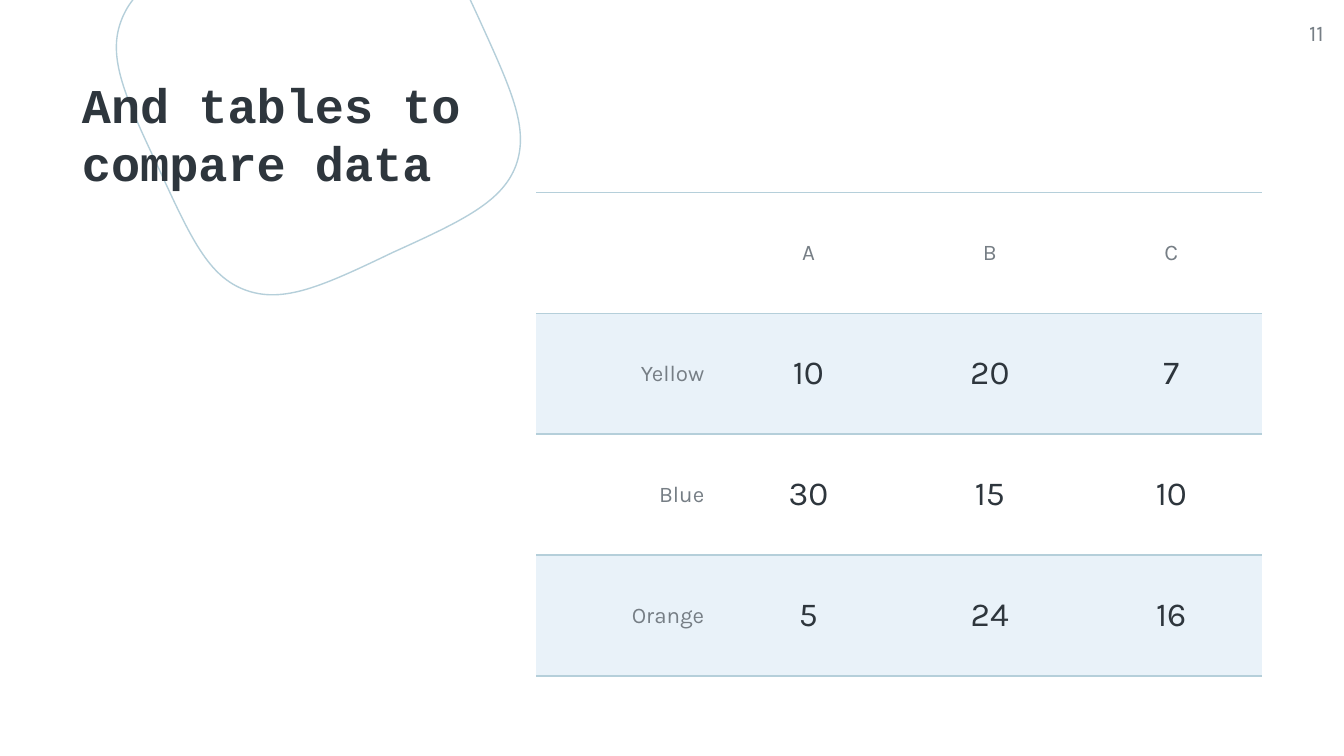
from lxml.etree import SubElement
from pptx import Presentation
from pptx.dml.color import RGBColor
from pptx.enum.text import MSO_ANCHOR, PP_ALIGN
from pptx.oxml import parse_xml
from pptx.oxml.ns import nsdecls, qn
from pptx.util import Inches, Pt

# Content
TITLE = "And tables to compare data"
PAGE = "11"
ROWS = [
    ("", "A", "B", "C"),
    ("Yellow", "10", "20", "7"),
    ("Blue", "30", "15", "10"),
    ("Orange", "5", "24", "16"),
]

# Rounded outline: a start point, then three points per Bezier curve
BLOB_START = (2.92, 1.88)
BLOB_CURVES = [
    (3.45, 1.64), (3.74, 1.5), (3.84, 1.23),
    (3.94, 0.95), (3.8, 0.66), (3.56, 0.13),
    (3.32, -0.39), (3.18, -0.68), (2.9, -0.78),
    (2.63, -0.88), (2.33, -0.74), (1.81, -0.5),
    (1.29, -0.26), (1, -0.12), (0.9, 0.16),
    (0.8, 0.43), (0.93, 0.72), (1.18, 1.25),
    (1.42, 1.77), (1.55, 2.06), (1.83, 2.16),
    (2.11, 2.26), (2.4, 2.13), BLOB_START,
]

# Style
DARK = RGBColor(0x2E, 0x36, 0x3D)
GRAY = RGBColor(0x76, 0x7E, 0x85)
RULE = RGBColor(0xB5, 0xCF, 0xDA)
BAND = RGBColor(0xE9, 0xF2, 0xF9)
HEADING_FONT, BODY_FONT = "Courier New", "Karla"
NO_STYLE_NO_GRID = "{2D5ABB26-0587-4C30-8999-92F81FD0307C}"
TABLE_LEFT, TABLE_TOP, COLUMN_WIDTH, ROW_HEIGHT = 3.99, 1.43, 1.35, 0.9


def write(frame, text, *, size, color, font=BODY_FONT, bold=False,
          align=PP_ALIGN.LEFT):
    paragraph = frame.paragraphs[0]
    paragraph.alignment = align
    run = paragraph.add_run()
    run.text = text
    run.font.name, run.font.size, run.font.bold = font, Pt(size), bold
    run.font.color.rgb = color


def clear_insets(frame):
    frame.word_wrap = True
    frame.vertical_anchor = MSO_ANCHOR.TOP
    frame.margin_left = frame.margin_right = 0
    frame.margin_top = frame.margin_bottom = 0


def add_rules(cell):
    """Draw the lines above and below a cell."""
    properties = cell._tc.get_or_add_tcPr()
    for position, side in enumerate(("lnT", "lnB")):
        properties.insert(position, parse_xml(
            f'<a:{side} {nsdecls("a")} w="{Pt(0.75)}"><a:solidFill>'
            f'<a:srgbClr val="{RULE}"/></a:solidFill></a:{side}>'))


def add_blob(slide):
    builder = slide.shapes.build_freeform(
        Inches(BLOB_START[0]), Inches(BLOB_START[1]))
    builder.add_line_segments(
        [(Inches(x), Inches(y)) for x, y in BLOB_CURVES], close=True)
    blob = builder.convert_to_shape()
    blob.shadow.inherit = False
    blob.fill.background()
    blob.line.color.rgb = RULE
    blob.line.width = Pt(0.75)
    # Merge every three line segments into one cubic curve
    segments = list(blob._element.iter(qn("a:lnTo")))
    for first in range(0, len(segments), 3):
        curve = SubElement(segments[first].getparent(), qn("a:cubicBezTo"))
        segments[first].addprevious(curve)
        for segment in segments[first:first + 3]:
            curve.append(segment[0])
            segment.getparent().remove(segment)
    slide.shapes._spTree.insert(2, blob._element)  # behind the title


def add_comparison(slide):
    columns = len(ROWS[0])
    frame = slide.shapes.add_table(
        len(ROWS), columns, Inches(TABLE_LEFT), Inches(TABLE_TOP),
        Inches(COLUMN_WIDTH * columns), Inches(ROW_HEIGHT * len(ROWS)))
    table = frame.table
    table._tbl.tblPr.find(qn("a:tableStyleId")).text = NO_STYLE_NO_GRID
    for r, row in enumerate(ROWS):
        for c, text in enumerate(row):
            cell = table.cell(r, c)
            cell.vertical_anchor = MSO_ANCHOR.MIDDLE
            cell.margin_left = cell.margin_right = Inches(0.1)
            cell.margin_top = cell.margin_bottom = Inches(0.07)
            if r % 2:
                cell.fill.solid()
                cell.fill.fore_color.rgb = BAND
            else:
                cell.fill.background()
            add_rules(cell)
            is_label = r == 0 or c == 0
            if text:
                write(cell.text_frame, text,
                      size=12 if is_label else 18,
                      color=GRAY if is_label else DARK,
                      align=PP_ALIGN.CENTER if c else PP_ALIGN.RIGHT)


def main():
    deck = Presentation()
    deck.slide_width = Inches(10)
    deck.slide_height = deck.slide_width * 9 // 16
    slide = deck.slides.add_slide(deck.slide_layouts[5])

    # Decoration
    add_blob(slide)

    # Title
    title = slide.shapes.title
    title.left, title.top = Inches(0.61), Inches(0.56)
    title.width, title.height = Inches(3.09), Inches(0.5)
    clear_insets(title.text_frame)
    write(title.text_frame, TITLE, size=26, color=DARK, font=HEADING_FONT,
          bold=True)

    # Page number
    number = slide.shapes.add_textbox(
        Inches(9.25), Inches(0.14), Inches(0.6), Inches(0.43))
    clear_insets(number.text_frame)
    write(number.text_frame, PAGE, size=12, color=GRAY, align=PP_ALIGN.RIGHT)

    # Table
    add_comparison(slide)

    deck.save("out.pptx")


if __name__ == "__main__":
    main()
